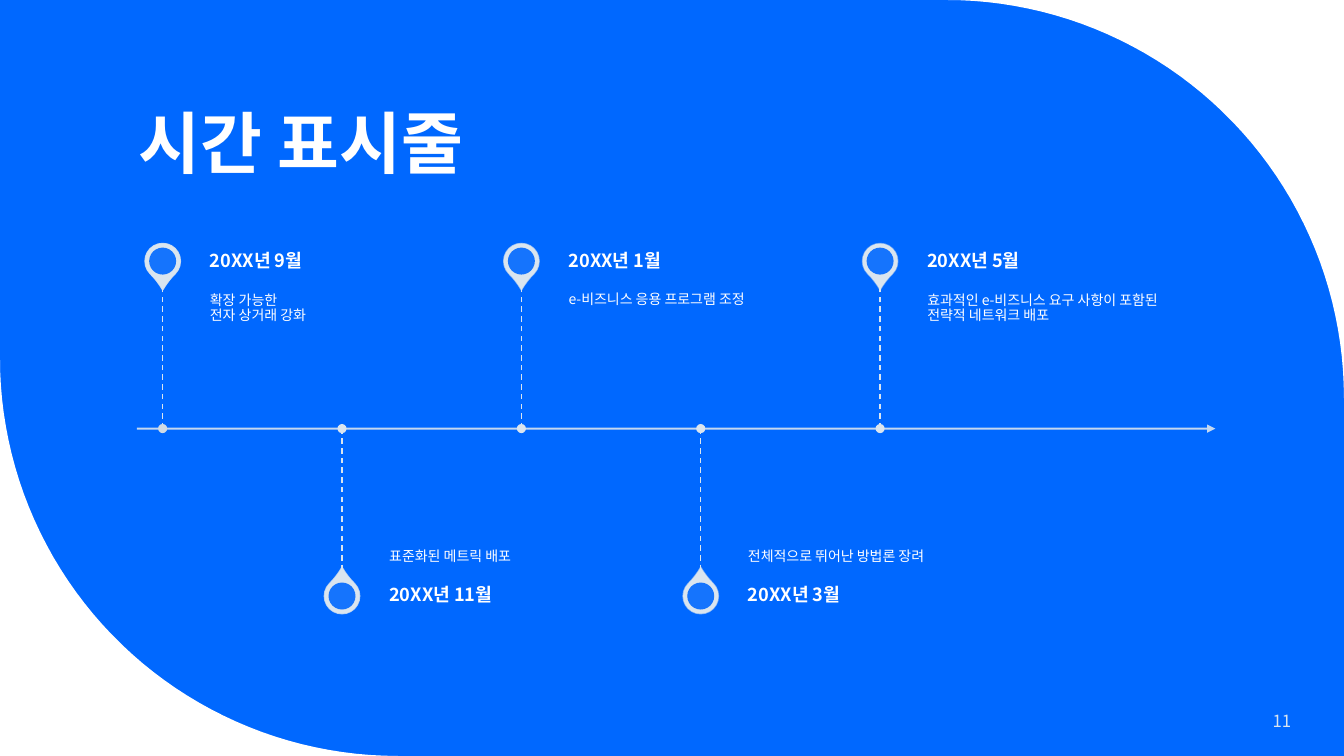
import math

from pptx import Presentation
from pptx import util as u
from pptx.dml.color import RGBColor
from pptx.enum import dml, shapes, text
from pptx.oxml.xmlchemy import OxmlElement

COLORS = {"blue": "0068FF", "white": "FFFFFF", "pale": "DAE5EF", "grey": "D0DBE4"}
FONT = "Noto Sans CJK KR"
WIDTH, HEIGHT = 33.87, 19.05
RADIUS = 10.03
STEM, DATE_H, PIN_AT = 3.58, 1.27, 4.22
EVENTS = [
    ("20XX년 9월", "확장 가능한\n전자 상거래 강화"),
    ("20XX년 11월", "표준화된 메트릭 배포"),
    ("20XX년 1월", "e-비즈니스 응용 프로그램 조정"),
    ("20XX년 3월", "전체적으로 뛰어난 방법론 장려"),
    ("20XX년 5월", "효과적인 e-비즈니스 요구 사항이 포함된 전략적 네트워크 배포"),
]


def rgb(name):
    """Return the named palette colour."""
    return RGBColor.from_string(COLORS[name])


def set_alpha(parent, percent):
    """Make the solid fill under an XML element partly transparent."""
    alpha = OxmlElement("a:alpha")
    alpha.set("val", str(percent * 1000))
    parent.find(".//{*}srgbClr").append(alpha)


def add_text(s, box, words, size, color="white", bold=False, anchor="MIDDLE",
             align="LEFT", insets=(0.25, 0.13, 0.25, 0.13), spacing=0.9):
    """Add a one-paragraph text box."""
    tf = s.shapes.add_textbox(*map(u.Cm, box)).text_frame
    tf.word_wrap = True
    tf.vertical_anchor = getattr(text.MSO_ANCHOR, anchor)
    (tf.margin_left, tf.margin_top,
     tf.margin_right, tf.margin_bottom) = map(u.Cm, insets)
    p = tf.paragraphs[0]
    p.text = words
    p.alignment = getattr(text.PP_ALIGN, align)
    p.line_spacing = spacing
    p.font.size, p.font.bold, p.font.name = u.Pt(size), bold, FONT
    p.font.color.rgb = rgb(color)
    ea = OxmlElement("a:ea")
    ea.set("typeface", FONT)
    p._p.get_or_add_pPr().get_or_add_defRPr().append(ea)


def add_round(s, kind, x, y, size, color):
    """Add an unlined shape centred on a point."""
    sp = s.shapes.add_shape(kind, u.Cm(x - size / 2), u.Cm(y - size / 2),
                            u.Cm(size), u.Cm(size))
    sp.shadow.inherit = False
    sp.fill.solid()
    sp.fill.fore_color.rgb = rgb(color)
    sp.line.fill.background()
    return sp


def add_line(s, x1, y1, x2, y2, width):
    """Add a pale straight connector."""
    line = s.shapes.add_connector(shapes.MSO_CONNECTOR.STRAIGHT,
                                  *map(u.Cm, (x1, y1, x2, y2)))
    line.line.color.rgb = rgb("pale")
    line.line.width = u.Pt(width)
    line._element.spPr.append(OxmlElement("a:effectLst"))
    return line


def add_corner(s, x, y, dx, dy):
    """Cut a rounded corner at x, y, with dx and dy pointing into the slide."""
    angles = [math.radians(a) for a in range(0, 91, 2)]
    arc = [(u.Cm(x + dx * RADIUS * (1 - math.sin(a))),
            u.Cm(y + dy * RADIUS * (1 - math.cos(a)))) for a in angles]
    builder = s.shapes.build_freeform(u.Cm(x), u.Cm(y))
    builder.add_line_segments(arc, close=True)
    sp = builder.convert_to_shape()
    sp.shadow.inherit = False
    sp.fill.solid()
    sp.fill.fore_color.rgb = rgb("white")
    sp.line.fill.background()


def add_event(s, x, axis, side, date, detail, pin_alpha, dot):
    """Place one event above (side -1) or below (side 1) the axis."""
    above = side < 0
    pin_y = axis + side * PIN_AT
    pin = add_round(s, shapes.MSO_SHAPE.TEAR, x, pin_y, 0.89, "pale")
    pin.adjustments[0] = 1.15
    pin.rotation = 135 if above else 315
    pin.line.color.rgb = rgb("pale")
    pin.line.width = u.Pt(1)
    set_alpha(pin.line._ln, pin_alpha)
    hole = add_round(s, shapes.MSO_SHAPE.OVAL, x, pin_y, 0.68, "blue")
    set_alpha(hole._element.spPr, 90)

    left, width = x + 1.19, 6.43
    detail_top = axis - STEM if above else axis
    date_top = axis - STEM - DATE_H if above else axis + STEM
    add_text(s, (left, detail_top, width, STEM), detail, 10,
             anchor="TOP" if above else "BOTTOM",
             insets=(0, 0.18, 0.18, 0.25) if above else (0, 0.25, 0, 0.18))
    add_text(s, (left, date_top, width, DATE_H), date, 13, bold=True,
             insets=(0, 0, 0.23, 0))

    stem = add_line(s, x, axis, x, axis + side * STEM, 1)
    stem.line.dash_style = dml.MSO_LINE.DASH
    add_round(s, shapes.MSO_SHAPE.OVAL, x, axis, 0.23, dot)


def add_timeline(s, left, axis, width):
    """Draw the arrow and its alternating events."""
    arrow = add_line(s, left, axis, left + width, axis, 1.5)
    set_alpha(arrow.line._ln, 90)
    head = OxmlElement("a:tailEnd")
    head.set("type", "triangle")
    arrow.line._ln.append(head)
    for i, (date, detail) in enumerate(EVENTS):
        add_event(s, left + 0.65 + 4.52 * i, axis, 1 if i % 2 else -1,
                  date, detail, 90 - 10 * i, "pale" if i else "grey")


def add_frame(s):
    """Set the blue background, white corners, title and page number."""
    s.background.fill.solid()
    s.background.fill.fore_color.rgb = rgb("blue")
    add_corner(s, WIDTH, 0, -1, 1)
    add_corner(s, 0, HEIGHT, 1, -1)
    add_text(s, (3.25, 1.07, 27.15, 3.68), "시간 표시줄", 48, bold=True,
             anchor="BOTTOM")
    add_text(s, (28.19, 17.65, 4.6, 1.02), "11", 12, color="pale",
             align="RIGHT", spacing=1.0)


def main():
    """Build and save the timeline slide."""
    prs = Presentation()
    prs.slide_width, prs.slide_height = u.Cm(WIDTH), u.Cm(HEIGHT)
    s = prs.slides.add_slide(prs.slide_layouts[6])
    add_frame(s)
    add_timeline(s, 3.45, 10.8, 27.18)
    prs.save("out.pptx")


if __name__ == "__main__":
    main()
